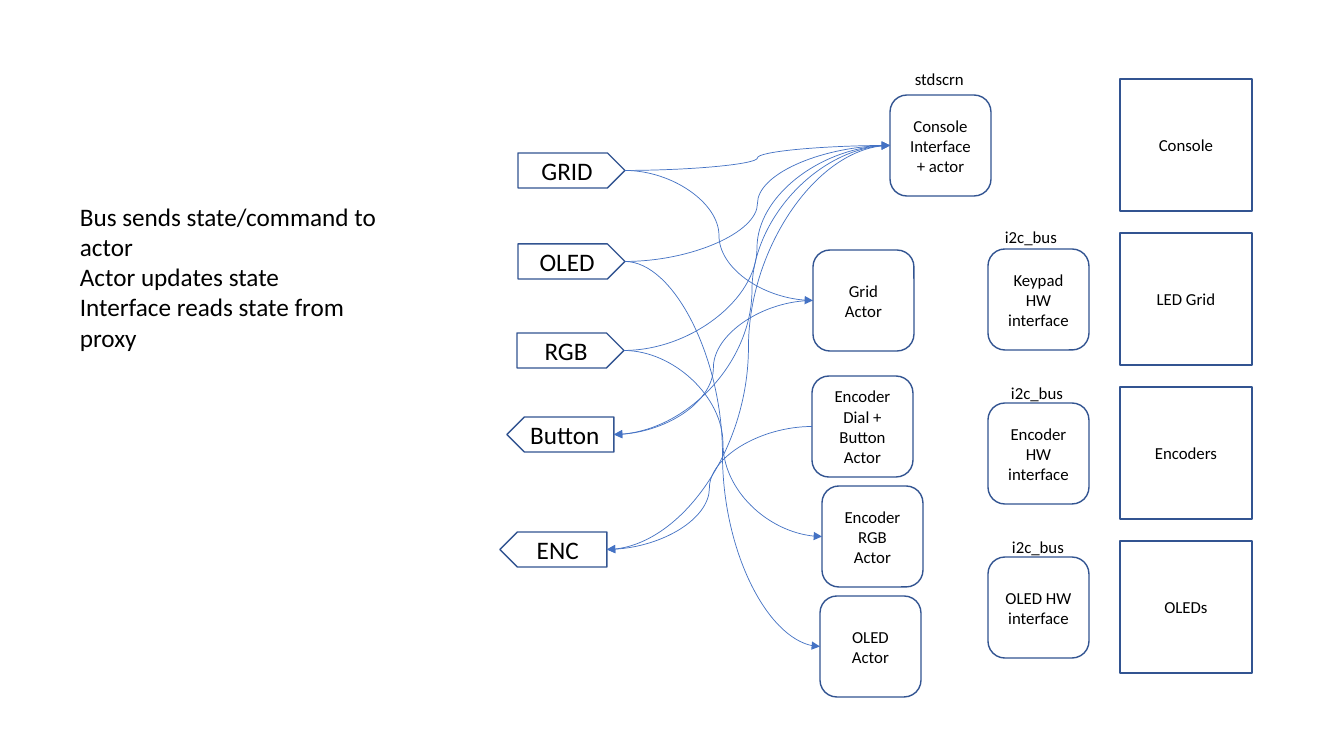
from lxml.etree import SubElement
from pptx import Presentation
from pptx.dml.color import RGBColor
from pptx.enum.shapes import MSO_CONNECTOR, MSO_SHAPE
from pptx.enum.text import MSO_ANCHOR, MSO_AUTO_SIZE, PP_ALIGN
from pptx.oxml.ns import qn
from pptx.util import Pt

WHITE = RGBColor(0xFF, 0xFF, 0xFF)
BLACK = RGBColor(0x00, 0x00, 0x00)
OUTLINE = RGBColor(0x32, 0x54, 0x91)
ARROW = RGBColor(0x44, 0x72, 0xC4)
FONT = "Calibri"
LEFT_SITE, RIGHT_SITE = 1, 3


def px(value):
    return round(value * 914400 / 100.8)


def write(text_frame, lines, size, align):
    text_frame.text = "\n".join(lines)
    for paragraph in text_frame.paragraphs:
        paragraph.alignment = align
        paragraph.font.name = FONT
        paragraph.font.size = Pt(size)
        paragraph.font.color.rgb = BLACK


def add_node(slide, kind, box, lines, size=12):
    shape = slide.shapes.add_shape(kind, *map(px, box))
    shape.shadow.inherit = False
    shape.fill.solid()
    shape.fill.fore_color.rgb = WHITE
    shape.line.color.rgb = OUTLINE
    shape.line.width = Pt(1)
    shape.text_frame.vertical_anchor = MSO_ANCHOR.MIDDLE
    write(shape.text_frame, lines, size, PP_ALIGN.CENTER)
    return shape


def add_text(slide, box, lines, size, wrap):
    text_frame = slide.shapes.add_textbox(*map(px, box)).text_frame
    text_frame.word_wrap = wrap
    text_frame.auto_size = MSO_AUTO_SIZE.SHAPE_TO_FIT_TEXT
    write(text_frame, lines, size, PP_ALIGN.LEFT)


def add_arrow(slide, start, start_site, end, end_site):
    """Curved arrow between the facing sides of a bus and an actor."""
    connector = slide.shapes.add_connector(MSO_CONNECTOR.CURVE, 0, 0, 0, 0)
    connector.begin_connect(start, start_site)
    connector.end_connect(end, end_site)
    connector.line.color.rgb = ARROW
    connector.line.width = Pt(0.5)
    properties = connector._element.spPr
    SubElement(properties.find(qn("a:ln")), qn("a:tailEnd"), type="triangle")
    SubElement(properties, qn("a:effectLst"))
    return connector


def add_devices(slide, left, top, size, pitch):
    for row, name in enumerate(["Console", "LED Grid", "Encoders", "OLEDs"]):
        box = (left, top + row * pitch, size, size)
        add_node(slide, MSO_SHAPE.RECTANGLE, box, [name])


def add_interfaces(slide, left, top, size, pitch):
    # Name, then the offset of the bus label from its interface
    interfaces = [("Keypad HW", 7, -27), ("Encoder HW", 13, -25), ("OLED HW", 14, -25)]
    for row, (name, label_x, label_y) in enumerate(interfaces):
        y = top + row * pitch
        add_node(slide, MSO_SHAPE.ROUNDED_RECTANGLE, (left, y, size, size),
                 [name, "interface"])
        add_text(slide, (left + label_x, y + label_y, 73, 30), ["i2c_bus"], 12, False)


def add_actors(slide, left, top, size):
    actors = {
        "console": (78, 0, ["Console", "Interface + actor"]),
        "grid": (1, 155, ["Grid", "Actor"]),
        "dial": (0, 281, ["Encoder Dial + Button", "Actor"]),
        "rgb": (10, 391, ["Encoder RGB", "Actor"]),
        "oled": (8, 501, ["OLED", "Actor"]),
    }
    add_text(slide, (left + 93, top - 31, 70, 30), ["stdscrn"], 12, False)
    return {key: add_node(slide, MSO_SHAPE.ROUNDED_RECTANGLE,
                          (left + x, top + y, size, size), lines)
            for key, (x, y, lines) in actors.items()}


def add_buses(slide, left, top, width, height):
    buses = [("GRID", 18, 0, False), ("OLED", 18, 91, False), ("RGB", 17, 180, False),
             ("Button", 7, 264, True), ("ENC", 0, 379, True)]
    shapes = {}
    for name, x, y, points_left in buses:
        shape = add_node(slide, MSO_SHAPE.PENTAGON,
                         (left + x, top + y, width, height), [name], 18)
        if points_left:
            shape._element.spPr.find(qn("a:xfrm")).set("flipH", "1")
        shapes[name] = shape
    return shapes


def add_links(slide, buses, actors):
    # Commands go from a bus to its actors
    for bus, actor in [("OLED", "console"), ("OLED", "oled"), ("RGB", "rgb"),
                       ("RGB", "console"), ("GRID", "console"), ("GRID", "grid")]:
        add_arrow(slide, buses[bus], RIGHT_SITE, actors[actor], LEFT_SITE)
    # Inputs go from an actor to a mirrored bus, whose left site lies at the right
    for actor, bus in [("console", "Button"), ("grid", "Button"),
                       ("dial", "ENC"), ("console", "ENC")]:
        connector = add_arrow(slide, actors[actor], LEFT_SITE, buses[bus], LEFT_SITE)
        connector.end_x = buses[bus].left + buses[bus].width


presentation = Presentation()
presentation.slide_width = px(1344)
presentation.slide_height = px(756)
slide = presentation.slides.add_slide(presentation.slide_layouts[6])

add_devices(slide, 1120, 79, 132, 154)
add_interfaces(slide, 988, 249, 101, 154)
actors = add_actors(slide, 812, 95, 101)
buses = add_buses(slide, 500, 153, 107, 35)
add_links(slide, buses, actors)
add_text(slide, (70, 196, 339, 163),
         ["Bus sends state/command to actor", "Actor updates state",
          "Interface reads state from proxy"], 18, True)

presentation.save("out.pptx")
